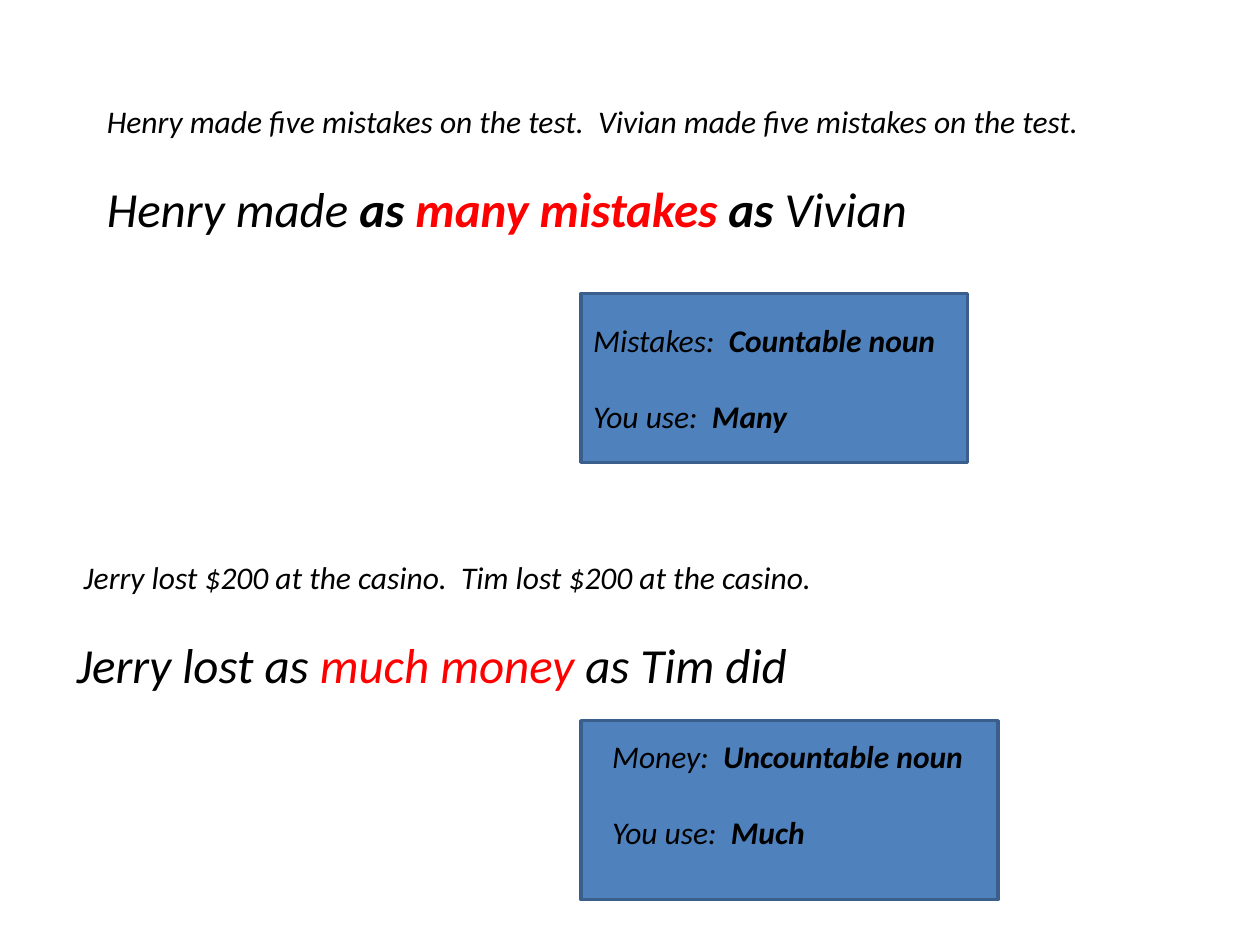
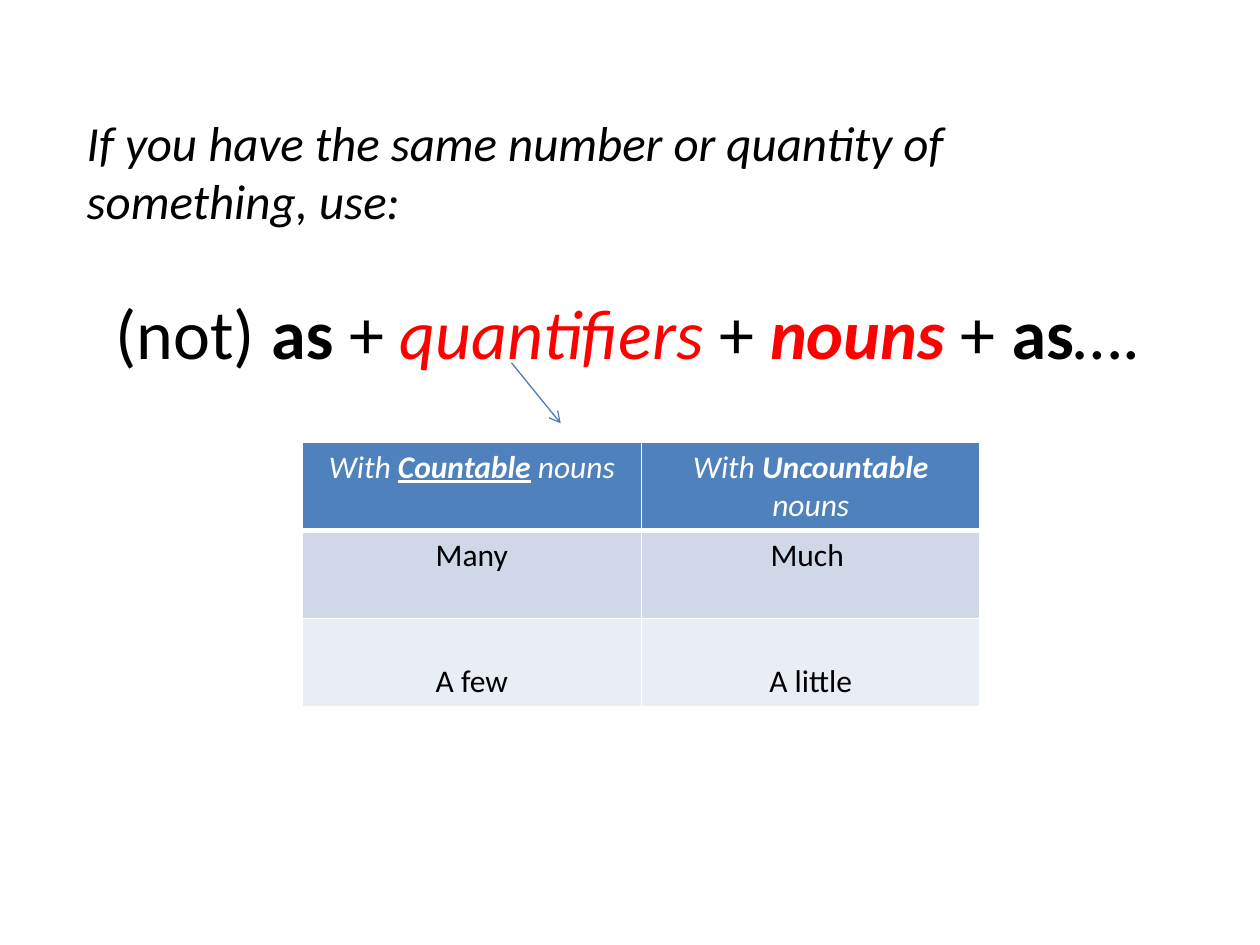
"""Build two slides on comparing equal amounts with as many and as much."""
from lxml import etree
from pptx import Presentation
from pptx.dml.color import RGBColor
from pptx.enum.shapes import MSO_CONNECTOR, MSO_SHAPE
from pptx.enum.text import MSO_ANCHOR, PP_ALIGN
from pptx.oxml.ns import qn
from pptx.util import Inches, Pt

LEFT, CENTER = PP_ALIGN.LEFT, PP_ALIGN.CENTER
TOP, MIDDLE, BOTTOM = MSO_ANCHOR.TOP, MSO_ANCHOR.MIDDLE, MSO_ANCHOR.BOTTOM
RECT, STRAIGHT = MSO_SHAPE.RECTANGLE, MSO_CONNECTOR.STRAIGHT
BLANK_LAYOUT = 6
FONT = "Calibri"
BLACK, WHITE, RED = "000000", "FFFFFF", "FF0000"
BLUE, EDGE, ARROW = "4F81BD", "3A5F8C", "4B7EBC"
BANDS = ["D0D8E8", "E9EDF4"]
SMALL, LARGE, FORMULA = 18, 28, 40
LINE_RATIO = 1.22


def rgb(value):
    return RGBColor.from_string(value)


def add_run(p, text, size=SMALL, color=BLACK, bold=False, italic=True, underline=False):
    r = p.add_run()
    r.text = text
    font = r.font
    font.name, font.size = FONT, Pt(size)
    font.bold, font.italic, font.underline = bold, italic, underline
    font.color.rgb = rgb(color)


def fill_paragraph(p, runs, align=LEFT, gap=0, **style):
    p.alignment = align
    p.space_before = Pt(gap * LINE_RATIO)
    for text, changes in runs:
        add_run(p, text, **{**style, **changes})


class Deck:
    def __init__(self):
        self.prs = Presentation()
        self.prs.slide_width, self.prs.slide_height = Inches(10), Inches(7.5)
        self.s = None

    def new_slide(self):
        self.s = self.prs.slides.add_slide(self.prs.slide_layouts[BLANK_LAYOUT])

    def fill_frame(self, tf, paragraphs, anchor=TOP):
        tf.word_wrap = True
        tf.vertical_anchor = anchor
        for i, (runs, style) in enumerate(paragraphs):
            p = tf.add_paragraph() if i else tf.paragraphs[0]
            fill_paragraph(p, runs, **style)

    def text(self, box, paragraphs):
        sp = self.s.shapes.add_textbox(*map(Inches, box))
        self.fill_frame(sp.text_frame, paragraphs)

    def panel(self, box, paragraphs=()):
        sp = self.s.shapes.add_shape(RECT, *map(Inches, box))
        sp.shadow.inherit = False
        sp.fill.solid()
        sp.fill.fore_color.rgb = rgb(BLUE)
        sp.line.color.rgb = rgb(EDGE)
        sp.line.width = Pt(2)
        self.fill_frame(sp.text_frame, paragraphs, MIDDLE)

    def arrow(self, start, end):
        c = self.s.shapes.add_connector(STRAIGHT, *map(Inches, start + end))
        c.line.color.rgb = rgb(ARROW)
        c.line.width = Pt(0.75)
        spPr = c._element.spPr
        etree.SubElement(spPr.find(qn("a:ln")), qn("a:tailEnd"), type="arrow")
        etree.SubElement(spPr, qn("a:effectLst"))

    def cell(self, cell, runs, fill, bottom_width=1, anchor=TOP, **style):
        tcPr = cell._tc.get_or_add_tcPr()
        for side, width in zip("LRTB", (1, 1, 1, bottom_width)):
            ln = etree.SubElement(tcPr, qn(f"a:ln{side}"), w=str(Pt(width)))
            solid = etree.SubElement(ln, qn("a:solidFill"))
            etree.SubElement(solid, qn("a:srgbClr"), val=WHITE)
        cell.fill.solid()
        cell.fill.fore_color.rgb = rgb(fill)
        cell.vertical_anchor = anchor
        fill_paragraph(cell.text_frame.paragraphs[0], runs, CENTER, **style)

    def table(self, box, header, body):
        shape = self.s.shapes.add_table(len(body) + 1, len(header), *map(Inches, box))
        table = shape.table
        for col, runs in enumerate(header):
            self.cell(table.cell(0, col), runs, BLUE, bottom_width=3, color=WHITE)
        for row, (words, anchor) in enumerate(body):
            for col, word in enumerate(words):
                self.cell(table.cell(row + 1, col), [(word, {})], BANDS[row % 2],
                          anchor=anchor, italic=False)


def example(situation, comparison):
    return [([(situation, {})], {}), (comparison, {"size": LARGE, "gap": SMALL})]


def rule(noun, kind, quantifier):
    bold = {"bold": True}
    return [([(noun + ":  ", {}), (kind, bold)], {}),
            ([("You use:  ", {}), (quantifier, bold)], {"gap": SMALL})]


def many_and_much(deck):
    deck.new_slide()
    bold, bold_red = {"bold": True}, {"bold": True, "color": RED}
    deck.text((0.75, 0.76, 8.43, 1.18), example(
        "Henry made five mistakes on the test.  Vivian made five mistakes on the test.",
        [("Henry made ", {}), ("as ", bold), ("many mistakes ", bold_red),
         ("as ", bold), ("Vivian", {})]))
    deck.text((0.51, 4.38, 8.74, 1.18), example(
        " Jerry lost $200 at the casino.  Tim lost $200 at the casino.",
        [("Jerry lost as ", {}), ("much money ", {"color": RED}), ("as Tim did", {})]))
    deck.panel((4.61, 5.72, 3.31, 1.42))
    deck.text((4.76, 5.8, 2.99, 1.01), rule("Money", "Uncountable noun", "Much"))
    deck.panel((4.61, 2.33, 3.07, 1.34), rule("Mistakes", "Countable noun", "Many"))


def quantifier_pattern(deck):
    deck.new_slide()
    bold = {"bold": True}
    red_italic = {"color": RED, "italic": True}
    pattern = [(" (not) ", {}), ("as", bold), (" + ", {}), ("quantifiers ", red_italic),
               ("+ ", {}), ("nouns", {**red_italic, **bold}), (" + ", {}),
               ("as", bold), ("….", {})]
    deck.text((0.59, 0.84, 8.66, 2.19), [
        ([("If you have the same number or quantity of something, use:", {})],
         {"size": LARGE}),
        (pattern, {"size": FORMULA, "italic": False, "align": CENTER, "gap": LARGE})])
    header = [
        [("With ", {}), ("Countable", {"bold": True, "underline": True}), (" nouns", {})],
        [("With ", {}), ("Uncountable ", bold), ("nouns", {})]]
    body = [(("Many", "Much "), TOP), (("A few", "A little"), BOTTOM)]
    deck.table((2.4, 3.51, 5.38, 2.1), header, body)
    deck.arrow((4.06, 2.88), (4.45, 3.36))


def main():
    deck = Deck()
    many_and_much(deck)
    quantifier_pattern(deck)
    deck.prs.save("out.pptx")


if __name__ == "__main__":
    main()
